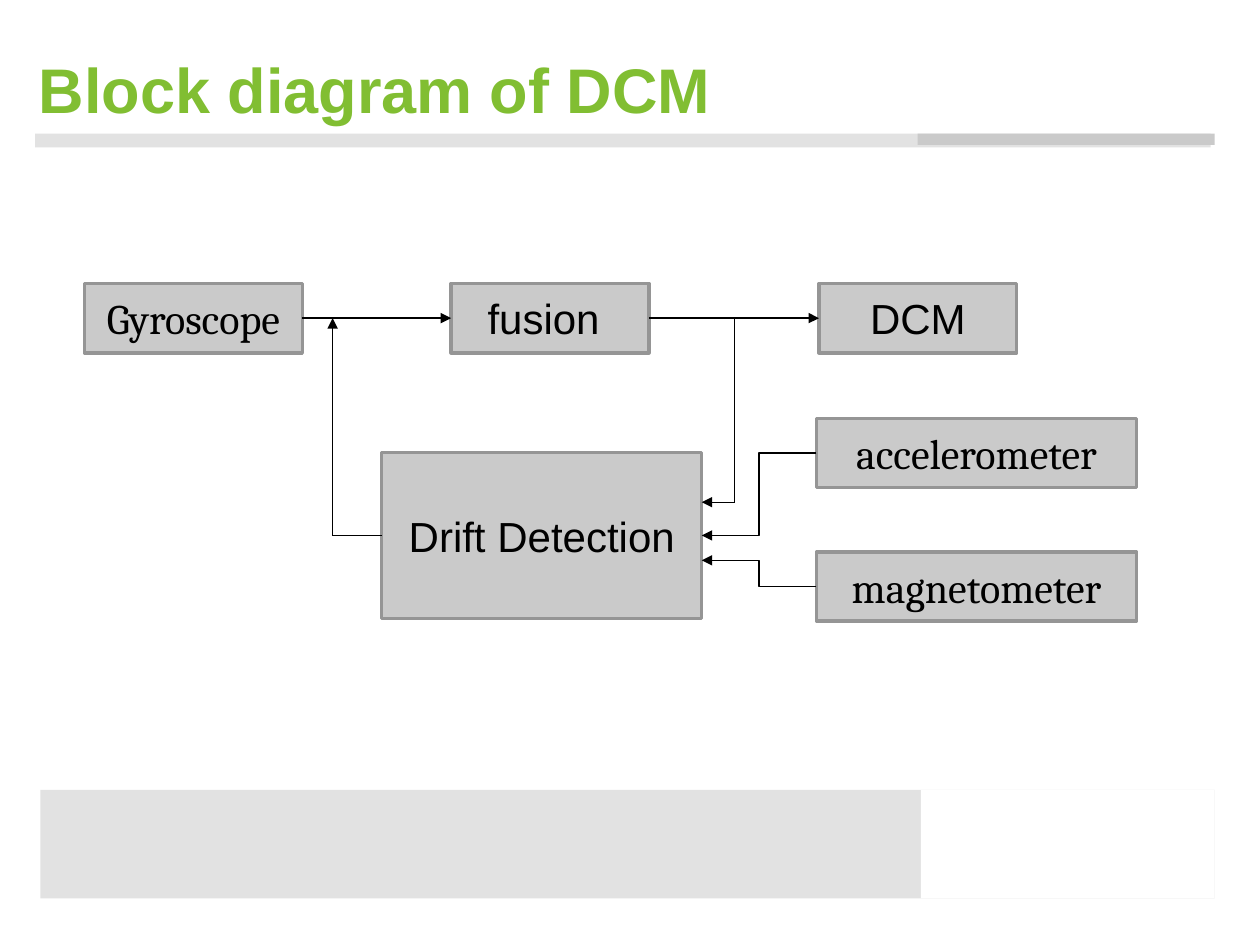
from pptx import Presentation
from pptx.dml.color import RGBColor
from pptx.enum.shapes import MSO_CONNECTOR, MSO_SHAPE
from pptx.enum.text import MSO_ANCHOR, PP_ALIGN
from pptx.oxml.ns import qn
from pptx.util import Inches, Pt
from lxml import etree

RECT = MSO_SHAPE.RECTANGLE
STRAIGHT, ELBOW = MSO_CONNECTOR.STRAIGHT, MSO_CONNECTOR.ELBOW
TOP, MIDDLE = MSO_ANCHOR.TOP, MSO_ANCHOR.MIDDLE
CENTER = PP_ALIGN.CENTER
COLORS = {
    "title": "81BE32", "band": "E2E2E2", "block": "CACACA",
    "edge": "959595", "ink": "000000", "paper": "FFFFFF",
}
COLS, ROWS = 100, 75
UNIT = Inches(10) // COLS


def units(*values):
    return [round(v * UNIT) for v in values]


def color(name):
    return RGBColor.from_string(COLORS[name])


def add_rect(s, box, fill):
    sp = s.shapes.add_shape(RECT, *units(*box))
    sp.shadow.inherit = False
    sp.fill.solid()
    sp.fill.fore_color.rgb = color(fill)
    sp.line.fill.background()
    return sp


def set_text(tf, text, size, font, ink):
    tf.word_wrap = True
    p = tf.paragraphs[0]
    p.text = text
    p.font.size = Pt(size)
    p.font.name = font
    p.font.color.rgb = color(ink)
    return p


def add_block(s, box, text, font):
    sp = add_rect(s, box, "block")
    sp.line.color.rgb = color("edge")
    sp.line.width = Pt(2)
    tf = sp.text_frame
    tf.vertical_anchor = MIDDLE
    set_text(tf, text, 24, font, "ink").alignment = CENTER
    return sp


def add_line(s, start, end, arrow=True, kind=STRAIGHT):
    c = s.shapes.add_connector(kind, *units(*start, *end))
    c.line.color.rgb = color("ink")
    c.line.width = Pt(0.75)
    if arrow:
        etree.SubElement(c.line._get_or_add_ln(), qn("a:tailEnd"), type="triangle")
    etree.SubElement(c._element.spPr, qn("a:effectLst"))


def add_header(s, x, y, w, h):
    sp = s.shapes.add_textbox(*units(x, y, w, h))
    tf = sp.text_frame
    tf.vertical_anchor = TOP
    tf.margin_top = UNIT
    set_text(tf, "Block diagram of DCM", 36, "Arial", "title").font.bold = True
    add_rect(s, (x + 0.7, y + 7.6, w - 1, 1.1), "band")
    add_rect(s, (x + 0.75 * w, y + 7.6, w / 4, 0.9), "block")


def add_footer(s, x, y, w, h):
    add_rect(s, (x, y, w, h), "band")
    add_rect(s, (x + 0.75 * w, y, w / 4, h), "paper")


def add_diagram(s, x, y, w, h):
    block_h, small_w, large_w = 5.5, 15.7, 25.4
    gyro_w, drift_h = 17.3, 13.2
    fusion_x, dcm_x = x + 29.1, x + 58.3
    drift_x, drift_y = x + 23.6, y + 13.4
    sensor_x = x + w - large_w
    accel_y, magnet_y = y + 10.7, y + h - block_h

    add_block(s, (x, y, gyro_w, block_h), "Gyroscope", "Cambria")
    add_block(s, (sensor_x, accel_y, large_w, block_h), "accelerometer", "Cambria")
    add_block(s, (sensor_x, magnet_y, large_w, block_h), "magnetometer", "Cambria")
    add_block(s, (drift_x, drift_y, large_w, drift_h), "Drift Detection", "Arial")
    fusion = add_block(s, (fusion_x, y, small_w, block_h), "fusion", "Arial")
    fusion.text_frame.margin_right = 2 * UNIT
    add_block(s, (dcm_x, y, small_w, block_h), "DCM", "Arial")

    mid = block_h / 2
    flow_y = y + mid
    drift_mid = drift_y + drift_h / 2
    drift_right = drift_x + large_w
    correct_x, feedback_x = x + 19.7, x + 51.6
    feedback_y = drift_y + 0.3 * drift_h

    for sensor_y, port in ((magnet_y, 0.65), (accel_y, 0.5)):
        add_line(s, (sensor_x, sensor_y + mid),
                 (drift_right, drift_y + port * drift_h), kind=ELBOW)
    add_line(s, (x + gyro_w, flow_y), (fusion_x, flow_y))
    add_line(s, (fusion_x + small_w, flow_y), (dcm_x, flow_y))
    add_line(s, (drift_x, drift_mid), (correct_x, drift_mid), arrow=False)
    add_line(s, (correct_x, drift_mid), (correct_x, flow_y))
    add_line(s, (feedback_x, feedback_y), (drift_right, feedback_y))
    add_line(s, (feedback_x, feedback_y), (feedback_x, flow_y), arrow=False)


def main():
    prs = Presentation()
    prs.slide_width, prs.slide_height = units(COLS, ROWS)
    s = prs.slides.add_slide(prs.slide_layouts[6])
    add_footer(s, 3.2, 62.7, 93.2, 8.6)
    add_header(s, 2.1, 3, 94.3, 6)
    add_diagram(s, 6.7, 22.5, 83.5, 26.8)
    prs.save("out.pptx")


if __name__ == "__main__":
    main()
